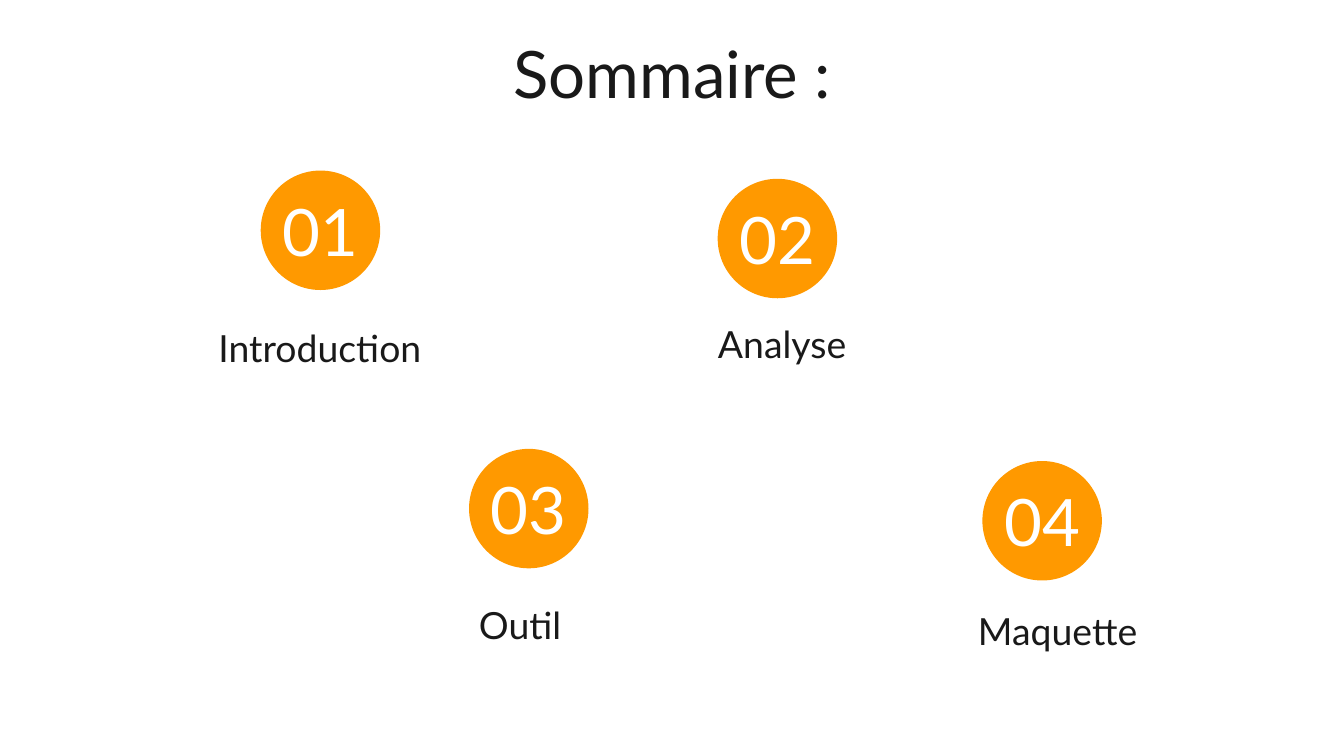
import pptx
import pptx.util
import pptx.dml.color
import pptx.enum.shapes
import pptx.enum.text

Pt = pptx.util.Pt
ANCHOR = pptx.enum.text.MSO_ANCHOR
COLORS = {"ink": "191919", "disc": "FF9900", "page": "FFFFFF"}
FONT = "Lato"
DISC = 64  # disc diameter

# Number, label, disc left and top, label centre and top
ITEMS = [
    ("01", "Introduction", 139.7, 91.4, 171.4, 174.2),
    ("02", "Analyse", 384.5, 95.8, 419, 172.1),
    ("03", "Outil", 251.3, 240.5, 278.6, 322.6),
    ("04", "Maquette", 526.3, 247, 566.6, 326.2),
]


def tint(name):
    return pptx.dml.color.RGBColor.from_string(COLORS[name])


def write(slide, text, box, size, color, anchor):
    frame = slide.shapes.add_textbox(*map(Pt, box)).text_frame
    frame.word_wrap = True
    frame.vertical_anchor = anchor
    frame.margin_left = frame.margin_right = Pt(7.2)
    frame.margin_top = frame.margin_bottom = Pt(7.2)
    frame.text = text
    line = frame.paragraphs[0]
    line.alignment = pptx.enum.text.PP_ALIGN.CENTER
    font = line.runs[0].font
    font.name, font.size = FONT, Pt(size)
    font.color.rgb = tint(color)


def add_item(slide, number, label, left, top, mid, base):
    # Disc
    disc = slide.shapes.add_shape(
        pptx.enum.shapes.MSO_SHAPE.OVAL, Pt(left), Pt(top), Pt(DISC), Pt(DISC))
    disc.shadow.inherit = False
    disc.fill.solid()
    disc.fill.fore_color.rgb = tint("disc")
    disc.line.fill.background()

    # Number centred on the disc, label below it
    wide, high = 57.6, 35.2
    box = (left + (DISC - wide) / 2, top + (DISC - high) / 2, wide, high)
    write(slide, number, box, 35, "page", ANCHOR.MIDDLE)
    wide = 181.4
    write(slide, label, (mid - wide / 2, base, wide, 31), 20, "ink", ANCHOR.BOTTOM)


def main():
    deck = pptx.Presentation()
    deck.slide_width, deck.slide_height = Pt(720), Pt(405)
    slide = deck.slides.add_slide(deck.slide_layouts[6])
    slide.background.fill.solid()
    slide.background.fill.fore_color.rgb = tint("page")

    # Title
    write(slide, "Sommaire :", (56.7, 10.8, 607, 45.4), 35, "ink", ANCHOR.TOP)

    # Contents
    for item in ITEMS:
        add_item(slide, *item)
    deck.save("out.pptx")


if __name__ == "__main__":
    main()
